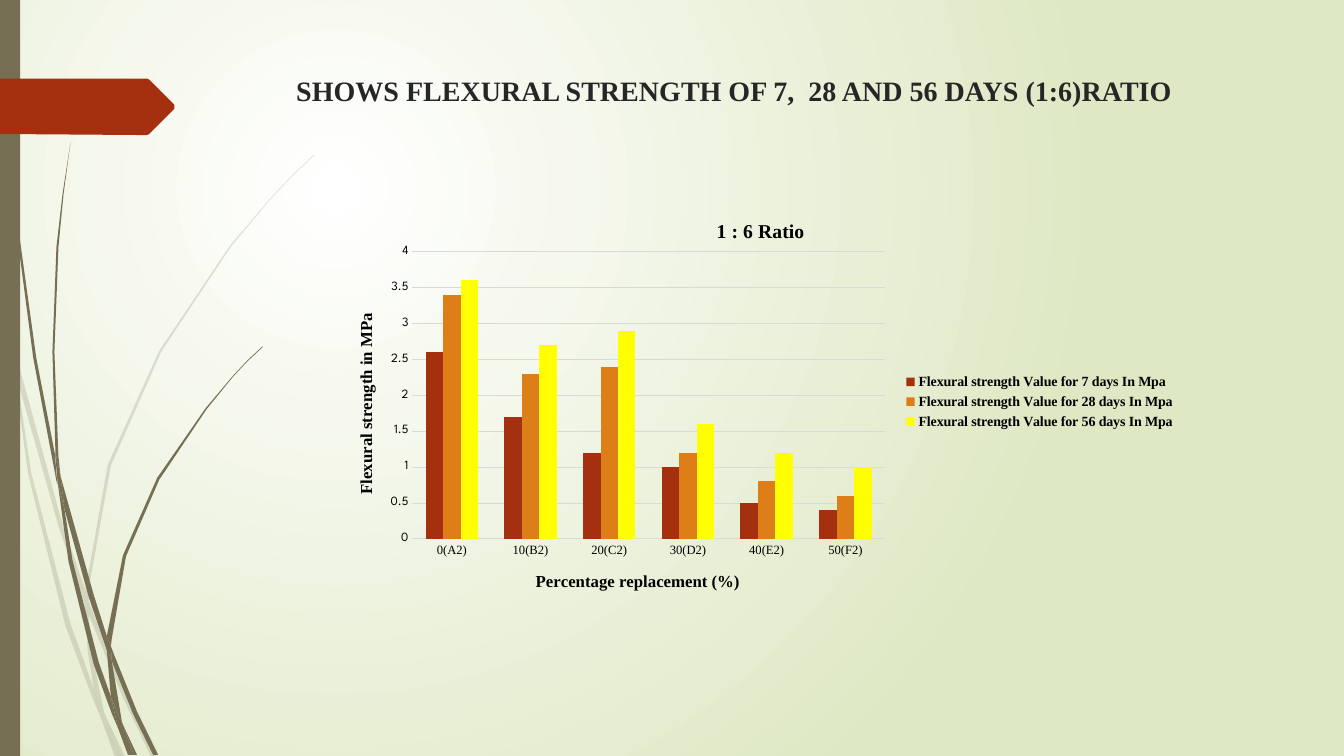
from lxml.etree import SubElement
from pptx import Presentation
from pptx.chart.data import CategoryChartData
from pptx.dml.color import RGBColor
from pptx.enum.chart import XL_CHART_TYPE as CT, XL_LEGEND_POSITION as LP, XL_TICK_MARK as TICK
from pptx.enum.shapes import MSO_SHAPE as SHP
from pptx.enum.text import MSO_ANCHOR, PP_ALIGN
from pptx.oxml.ns import qn
from pptx.util import Pt

SERIF, SANS = "Times New Roman", "League Spartan"
OLIVE, RUST, GRID, BLACK = "766F54", "A53010", "D9D9D9", "000000"
UNIT = Pt(0.72)  # outlines are in hundredths of an inch

PALE_STEMS = [
    "58,522 84,599 85,586 62,520 14,345 17,376",
    "92,607 88,596 88,610 123,694 150,751 155,751 127,692",
    "119,751 124,751 105,711",
    "93,683 70,619 31,469 17,376 11,350 28,470 65,621 92,693 101,714 99,707",
    "84,599 87,646 93,683 96,692 105,711 103,706 91,646 88,610 88,608",
    "88,584 110,462 160,349 229,245 268,198 290,175 312,154 312,153 289,175 "
    "268,197 228,244 158,348 107,461 85,584 85,586 88,596",
    "101,714 114,751 119,751",
    "88,608 88,610 88,596 85,586 84,599",
    "96,692 93,683 99,707 101,714 119,751 105,711",
]
DARK_STEMS = [
    "7,110 17,233 33,355 56,477 57,481 55,457 55,453 36,355 19,232 8,109 5,48 4,0 3,0 4,48",
    "88,592 106,645 106,633 106,631 93,590 60,472 64,505",
    "113,649 110,641 111,656 132,708 152,749 157,749 136,706",
    "110,691 98,657 72,556 64,505 57,477 68,557 93,659 111,708 117,722 116,717",
    "60,472 58,453 54,349 58,245 63,193 70,141 62,193 56,245 52,349 55,449",
    "133,749 136,749 122,719",
    "57,477 64,505 60,472 55,449 55,453",
    "111,633 125,552 158,476 205,406 231,374 245,359 261,344 260,344 245,358 "
    "231,373 204,405 156,474 122,551 106,631 110,641",
    "117,722 127,749 131,749",
    "106,645 110,691 116,706 122,719 121,716 111,656 109,651",
    "106,645 109,651 111,656 110,641 106,631 106,633",
    "116,706 110,691 116,717 117,722 130,749 133,749 122,719",
]
ARROW = "173,108 148,133 146,134 136,134 0,133 0,78 136,78 146,78 148,79 173,104"

CATEGORIES = ["0(A2)", "10(B2)", "20(C2)", "30(D2)", "40(E2)", "50(F2)"]
SERIES = [
    (7, RUST, (2.6, 1.7, 1.2, 1, 0.5, 0.4)),
    (28, "DE7E18", (3.4, 2.3, 2.4, 1.2, 0.8, 0.6)),
    (56, "FFFF00", (3.6, 2.7, 2.9, 1.6, 1.2, 1)),
]


def rgb(color):
    return RGBColor.from_string(color)


def set_font(font, color=BLACK, **values):
    for name, value in values.items():
        setattr(font, name, value)
    font.color.rgb = rgb(color)


def paint(sp, color, alpha=None):
    sp.shadow.inherit = False
    sp.fill.solid()
    sp.fill.fore_color.rgb = rgb(color)
    sp.line.fill.background()
    if alpha:
        fill = sp.element.spPr.find(qn("a:solidFill"))
        SubElement(fill[0], qn("a:alpha"), val=str(alpha * 1000))


def add_outline(shapes, outline, left, top, color, alpha=None):
    points = [tuple(map(int, pair.split(","))) for pair in outline.split()]
    builder = shapes.build_freeform(*points[0], scale=UNIT)
    builder.add_line_segments(points[1:], close=True)
    paint(builder.convert_to_shape(left, top), color, alpha)


def add_background(s):
    fill = s.background.fill
    fill.gradient()
    for stop, color in zip(fill.gradient_stops, ("FFFFFF", "DFE8C4")):
        stop.color.rgb = rgb(color)
    grad = s.element.find(".//" + qn("a:gradFill"))
    grad.remove(grad.find(qn("a:lin")))
    circle = SubElement(grad, qn("a:path"), path="circle")
    SubElement(circle, qn("a:fillToRect"), l="50000", t="50000", r="100000", b="100000")


def add_decoration(s, left, top, height):
    # Grass stems, then the side bar and the arrow tab
    for stems, alpha in ((PALE_STEMS, 20), (DARK_STEMS, None)):
        group = s.shapes.add_group_shape()
        for outline in stems:
            add_outline(group.shapes, outline, left, top, OLIVE, alpha)
    paint(s.shapes.add_shape(SHP.RECTANGLE, left, top, Pt(14.4), height), OLIVE)
    add_outline(s.shapes, ARROW, left, top, RUST)


def add_title(s, left, top, width, height):
    tf = s.shapes.add_textbox(left, top, width, height).text_frame
    tf.word_wrap = True
    tf.vertical_anchor = MSO_ANCHOR.TOP
    p = tf.paragraphs[0]
    p.alignment = PP_ALIGN.LEFT
    r = p.add_run()
    r.text = "SHOWS FLEXURAL STRENGTH OF 7,  28 AND 56 DAYS (1:6)RATIO"
    set_font(r.font, "262626", name=SERIF, size=Pt(20), bold=True)


def set_layout(parent, index, **fractions):
    """Fix the place of a chart part as fractions of the chart box."""
    for old in parent.findall(qn("c:layout")):
        parent.remove(old)
    layout = SubElement(parent, qn("c:layout"))
    parent.insert(index, layout)
    manual = SubElement(layout, qn("c:manualLayout"))
    if "w" in fractions:
        SubElement(manual, qn("c:layoutTarget"), val="inner")
    for name in ("x", "y"):
        SubElement(manual, qn(f"c:{name}Mode"), val="edge")
    for name, value in fractions.items():
        SubElement(manual, qn(f"c:{name}"), val=str(value))


def set_chart_title(title, text, size, x, y):
    p = title.text_frame.paragraphs[0]
    r = p.add_run()
    r.text = text
    set_font(r.font, name=SERIF, size=Pt(size), bold=True)
    set_layout(title.element, 1, x=x, y=y)


def add_strength_chart(s, left, top, width, height):
    data = CategoryChartData()
    data.categories = CATEGORIES
    for days, _, values in SERIES:
        data.add_series(f"Flexural strength Value for {days} days In Mpa", values)
    chart = s.shapes.add_chart(CT.COLUMN_CLUSTERED, left, top, width, height, data).chart
    set_font(chart.font, name=SANS, size=Pt(10))
    set_layout(chart.element.find(".//" + qn("c:plotArea")), 0, x=0.1, y=0.14, w=0.55, h=0.69)

    # Bars
    plot = chart.plots[0]
    plot.vary_by_categories = False
    plot.gap_width, plot.overlap = 150, 0
    for series, (_, color, _) in zip(plot.series, SERIES):
        series.format.fill.solid()
        series.format.fill.fore_color.rgb = rgb(color)

    # Axes
    cat, val = chart.category_axis, chart.value_axis
    for axis, font in ((cat, SERIF), (val, SANS)):
        axis.major_tick_mark = axis.minor_tick_mark = TICK.NONE
        set_font(axis.tick_labels.font, name=font, size=Pt(9))
    val.minimum_scale, val.maximum_scale, val.major_unit = 0, 4, 0.5
    val.format.line.fill.background()
    for line in (cat.format.line, val.major_gridlines.format.line):
        line.color.rgb = rgb(GRID)
        line.width = Pt(0.75)

    # Titles and legend
    set_chart_title(chart.chart_title, "1 : 6 Ratio", 14, 0.45, 0.05)
    set_chart_title(cat.axis_title, "Percentage replacement (%)", 12, 0.24, 0.9)
    set_chart_title(val.axis_title, "Flexural strength in MPa", 12, 0.03, 0.28)
    val.axis_title.element.find(".//" + qn("a:bodyPr")).set("rot", "-5400000")
    chart.has_legend = True
    chart.legend.position = LP.RIGHT
    chart.legend.include_in_layout = False
    set_font(chart.legend.font, name=SERIF, size=Pt(10), bold=True)


def main():
    prs = Presentation()
    prs.slide_width, prs.slide_height = Pt(960), Pt(540)
    s = prs.slides.add_slide(prs.slide_layouts[6])
    add_background(s)
    add_decoration(s, Pt(0), Pt(0), prs.slide_height)
    add_title(s, Pt(204.5), Pt(49), Pt(702), Pt(52.5))
    add_strength_chart(s, Pt(233.3), Pt(138.2), Pt(613.4), Pt(297.4))
    prs.save("out.pptx")


if __name__ == "__main__":
    main()
